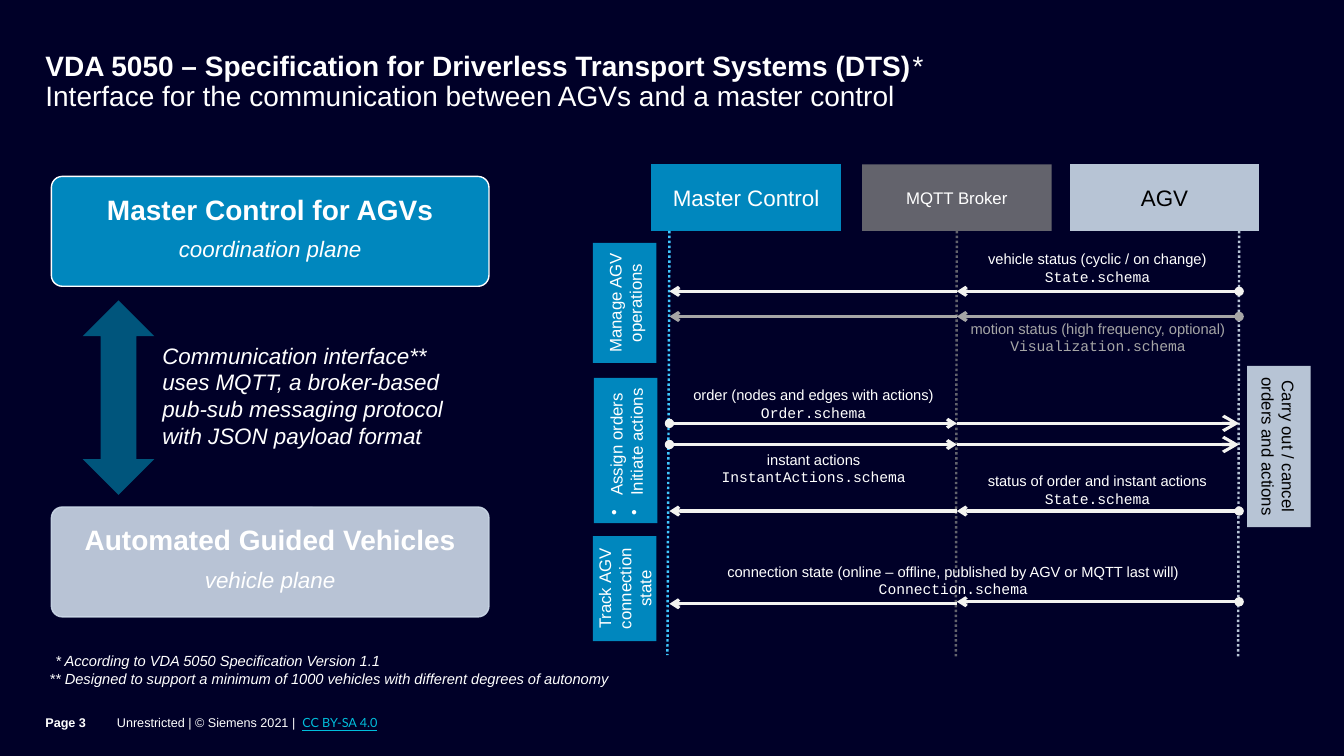
from dataclasses import dataclass

import lxml.etree
import pptx
import pptx.dml.color
import pptx.enum.dml
import pptx.enum.shapes
import pptx.enum.text
import pptx.oxml.ns
import pptx.util

Inches = pptx.util.Inches
Pt = pptx.util.Pt
qn = pptx.oxml.ns.qn
Kind = pptx.enum.shapes.MSO_SHAPE
Align = pptx.enum.text.PP_ALIGN
Anchor = pptx.enum.text.MSO_ANCHOR

COLORS = {
    "night": "000028", "white": "FFFFFF", "black": "000000", "blue": "0087BE",
    "deep": "00557C", "sky": "3FC7FF", "pale": "CCD9E8", "steel": "B7C4D5",
    "gray": "808080", "slate": "63636C", "ash": "A6A6A6", "cream": "F3F3F0",
    "cyan": "00BEDC",
}
MASTER, BROKER, AGV = 6.64, 9.49, 12.29
SNUG = (0, 0, 0, 0)
ROOMY = (0.12, 0.08, 0.12, 0.08)


@dataclass
class Para:
    text: str
    size: float
    color: str = "white"
    align: Align = Align.LEFT
    bold: bool = False
    italic: bool = False
    face: str = "Arial"
    lead: float = 0
    pitch: float = 1.0
    inset: float = 0
    bullet: bool = False


@dataclass
class Block:
    box: tuple
    fill: str
    paras: list
    kind: Kind = Kind.RECTANGLE
    edge: str = ""
    alpha: int = 100
    anchor: Anchor = Anchor.MIDDLE
    turn: str = "horz"
    pad: tuple = ROOMY


@dataclass
class Flow:
    y: float
    start: float
    end: float
    box: tuple
    label: str
    schema: str
    color: str = "cream"
    ink: str = "white"
    drop: float = 0


def rgb(name: str) -> pptx.dml.color.RGBColor:
    return pptx.dml.color.RGBColor.from_string(COLORS[name])


def write(frame, paras: list, anchor=Anchor.TOP, pad: tuple = SNUG, wrap: bool = True) -> None:
    frame.word_wrap = wrap
    frame.auto_size = pptx.enum.text.MSO_AUTO_SIZE.NONE
    frame.vertical_anchor = anchor
    frame.margin_left, frame.margin_top, frame.margin_right, frame.margin_bottom = map(Inches, pad)
    for index, para in enumerate(paras):
        line = frame.add_paragraph() if index else frame.paragraphs[0]
        props = line._p.get_or_add_pPr()
        if para.bullet:
            props.set("indent", str(-Inches(para.inset)))
            lxml.etree.SubElement(props, qn("a:buChar"), char="•")
        if para.inset:
            props.set("marL", str(Inches(para.inset)))
        line.alignment = para.align
        line.line_spacing = para.pitch
        if para.lead:
            line.space_before = Pt(para.lead)
        font = line.font
        font.name, font.size = para.face, Pt(para.size)
        font.italic = para.italic
        font.bold = para.bold
        font.color.rgb = rgb(para.color)
        line.add_run().text = para.text


def label(slide, box: tuple, paras: list, **style):
    area = slide.shapes.add_textbox(*map(Inches, box))
    write(area.text_frame, paras, **style)
    return area


def block(slide, item: Block):
    shape = slide.shapes.add_shape(item.kind, *map(Inches, item.box))
    shape.shadow.inherit = False
    shape.fill.solid()
    shape.fill.fore_color.rgb = rgb(item.fill)
    if item.edge:
        shape.line.color.rgb = rgb(item.edge)
        shape.line.width = Pt(1)
    else:
        shape.line.fill.background()
    if item.kind == Kind.ROUNDED_RECTANGLE:
        shape.adjustments[0] = 0.1
    if item.alpha < 100:
        for tone in shape.element.spPr.iter(qn("a:srgbClr")):
            lxml.etree.SubElement(tone, qn("a:alpha"), val=str(item.alpha * 1000))
    if item.paras:
        write(shape.text_frame, item.paras, item.anchor, item.pad)
        shape.text_frame._txBody.bodyPr.set("vert", item.turn)
    return shape


def link(slide, start: tuple, end: tuple, color: str, width: float,
         head: str = "", tail: str = "", size: str = "med", dots: bool = False):
    line = slide.shapes.add_connector(
        pptx.enum.shapes.MSO_CONNECTOR.STRAIGHT, *map(Inches, start + end))
    line.line.color.rgb = rgb(color)
    line.line.width = Pt(width)
    if dots:
        line.line.dash_style = pptx.enum.dml.MSO_LINE.ROUND_DOT
    stroke = line.element.spPr.find(qn("a:ln"))
    for tag, mark in (("a:headEnd", head), ("a:tailEnd", tail)):
        if mark:
            lxml.etree.SubElement(stroke, qn(tag), type=mark, w=size, len=size)
    lxml.etree.SubElement(line.element.spPr, qn("a:effectLst"))
    return line


def flow(slide, item: Flow) -> None:
    low = item.y + item.drop
    size = "lg" if item.end > item.start else "med"
    link(slide, (item.start, item.y), (BROKER, item.y), item.color, 2.25, "oval", "arrow")
    link(slide, (BROKER, low), (item.end, low), item.color, 2.25, tail="arrow", size=size)
    label(slide, item.box, [
        Para(item.label, 10.5, item.ink, Align.CENTER),
        Para(item.schema, 10.5, item.ink, Align.CENTER, face="Courier New"),
    ], wrap=False)


def card(top: float, fill: str, edge: str, alpha: int, name: str, plane: str) -> Block:
    return Block((0.51, top, 4.34, 1.09), fill, [
        Para(name, 20, align=Align.CENTER, bold=True, pitch=0.9),
        Para(plane, 16, align=Align.CENTER, italic=True, pitch=0.9, lead=9),
    ], Kind.ROUNDED_RECTANGLE, edge, alpha, pad=(0.06, 0.03, 0.06, 0.07))


def actor(left: float, fill: str, name: str, size: float, ink: str = "white", alpha: int = 100) -> Block:
    return Block((left, 1.63, 1.88, 0.66), fill, [Para(name, size, ink, Align.CENTER)],
                 Kind.FLOWCHART_PROCESS, alpha=alpha)


def task(left: float, top: float, height: float, text: str, fill: str = "blue",
         ink: str = "white", turn: str = "vert270", anchor=Anchor.TOP) -> Block:
    return Block((left, top, 0.63, height), fill, [Para(text, 12, ink, Align.CENTER)],
                 anchor=anchor, turn=turn)


ACTORS = [
    (actor(6.46, "blue", "Master Control", 16), MASTER, 6.62, "sky"),
    (actor(8.55, "gray", "MQTT Broker", 12, alpha=78), BROKER, 9.48, "slate"),
    (actor(10.61, "steel", "AGV", 16, "black"), AGV, 12.28, "steel"),
]
FLOWS = [
    Flow(2.89, AGV, MASTER, (9.78, 2.48, 2.21, 0.35), "vehicle status (cyclic / on change)", "State.schema"),
    Flow(3.14, AGV, MASTER, (9.6, 3.17, 2.58, 0.35), "motion status (high frequency, optional)",
         "Visualization.schema", "ash", "ash"),
    Flow(4.2, MASTER, AGV, (6.64, 3.83, 2.86, 0.35), "order (nodes and edges with actions)", "Order.schema"),
    Flow(4.41, MASTER, AGV, (6.64, 4.47, 2.86, 0.35), "instant actions", "InstantActions.schema"),
    Flow(5.07, AGV, MASTER, (9.76, 4.68, 2.25, 0.35), "status of order and instant actions", "State.schema"),
    Flow(5.97, AGV, MASTER, (7.19, 5.58, 4.53, 0.35),
         "connection state (online – offline, published by AGV or MQTT last will)",
         "Connection.schema", drop=0.02),
]
BLOCKS = [
    card(1.75, "blue", "white", 100, "Master Control for AGVs", "coordination plane"),
    Block((0.82, 2.98, 0.71, 1.93), "deep", [], Kind.UP_DOWN_ARROW),
    card(5.03, "pale", "pale", 90, "Automated Guided Vehicles", "vehicle plane"),
    Block((5.89, 3.75, 0.63, 1.44), "blue", [
        Para(text, 12, inset=0.19, bullet=True) for text in ("Assign orders", "Initiate actions")
    ], anchor=Anchor.TOP, turn="vert270"),
    task(5.88, 2.41, 1.19, "Manage AGV operations"),
    task(12.37, 3.63, 1.6, "Carry out / cancel orders and actions", "steel", "black", "vert"),
    task(5.88, 5.32, 1.04, "Track AGV connection state", anchor=Anchor.MIDDLE),
]


def main() -> None:
    deck = pptx.Presentation()
    deck.slide_width, deck.slide_height = Inches(13.33), Inches(7.5)
    slide = deck.slides.add_slide(deck.slide_layouts[5])
    slide.background.fill.solid()
    slide.background.fill.fore_color.rgb = rgb("night")

    title = slide.shapes.title
    title.left, title.top, title.width, title.height = map(Inches, (0.45, 0.52, 10.79, 0.63))
    write(title.text_frame, [
        Para("VDA 5050 – Specification for Driverless Transport Systems (DTS)", 20, pitch=0.9)
    ], pad=(0, 0, 0.35, 0.02))
    head = title.text_frame.paragraphs[0]
    head.runs[0].font.bold = True
    star = head.add_run()
    star.text, star.font.italic = "*", True
    head.add_line_break()
    head.add_run().text = "Interface for the communication between AGVs and a master control"

    foot = label(slide, (1.16, 6.9, 10.08, 0.6), [Para("Unrestricted | © Siemens 2021 | \u00a0", 9)],
                 anchor=Anchor.MIDDLE, pad=(0, 0, 0, 0.07))
    terms = foot.text_frame.paragraphs[0].add_run()
    terms.text = "CC BY-SA 4.0"
    terms.font.name, terms.font.underline = "Lato", True
    terms.font.color.rgb = rgb("cyan")
    label(slide, (0.45, 6.9, 0.71, 0.6), [Para("Page 3", 9, bold=True)],
          anchor=Anchor.MIDDLE, pad=(0, 0, 0, 0.07))

    label(slide, (1.61, 3.39, 2.86, 1.08), [
        Para("Communication interface**", 16, italic=True),
        Para("uses MQTT, a broker-based pub-sub messaging protocol with JSON payload format", 16, italic=True),
    ])
    label(slide, (0.49, 6.47, 5.65, 0.35), [
        Para("* According to VDA 5050 Specification Version 1.1", 10.5, italic=True, inset=0.06),
        Para("** Designed to support a minimum of 1000 vehicles with different degrees of autonomy",
             10.5, italic=True),
    ], wrap=False)

    for item, top, base, color in ACTORS:
        shape = block(slide, item)
        line = link(slide, (top, 2.29), (base, 6.5 if top == MASTER else 6.53), color, 1.75, dots=True)
        if top == BROKER:
            line.begin_connect(shape, 2)
    for item in FLOWS:
        flow(slide, item)
    for item in BLOCKS:
        block(slide, item)
    deck.save("out.pptx")


if __name__ == "__main__":
    main()
